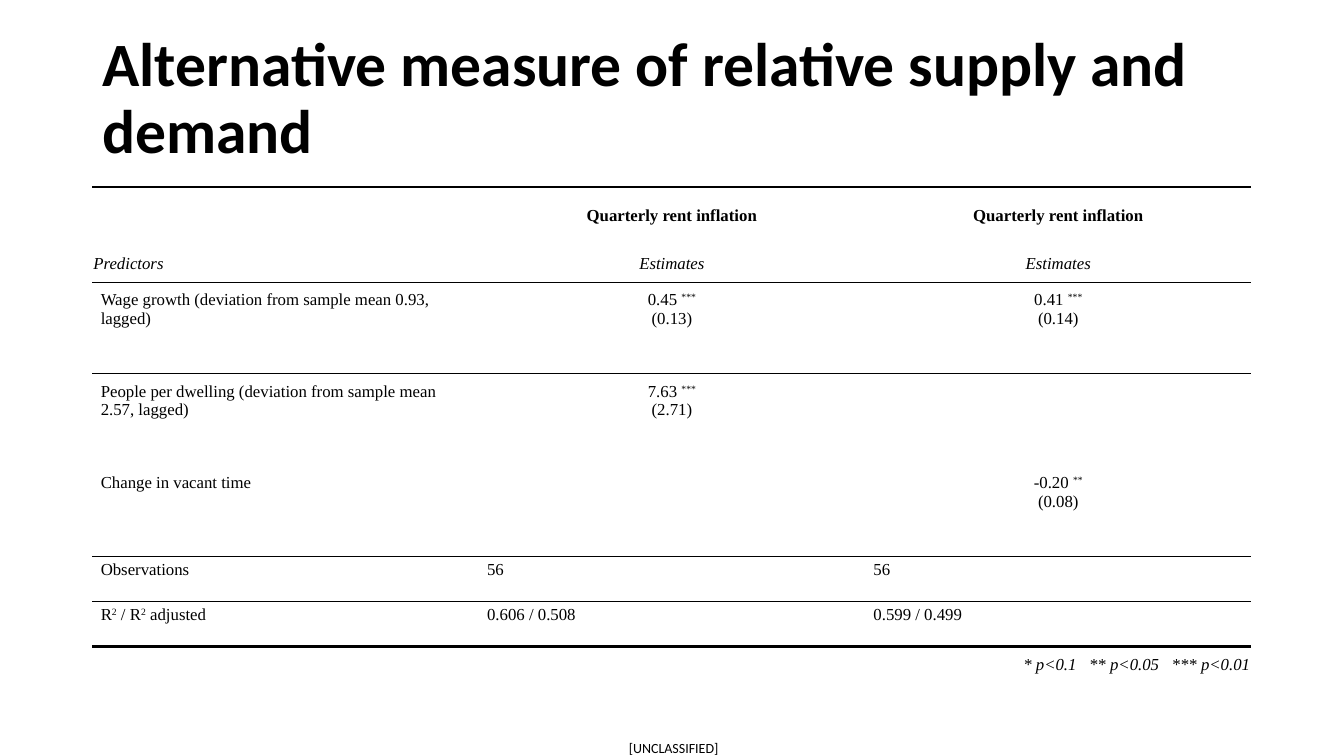
"""Builds the regression table slide on rent inflation."""
from dataclasses import dataclass

from lxml import etree
from pptx import Presentation, util as u
from pptx.dml.color import RGBColor
from pptx.enum import text as t
from pptx.oxml.ns import qn

PX = 9525
COLOURS = {"ink": "000000"}
INK = RGBColor.from_string(COLOURS["ink"])
SERIF, SANS = "Times New Roman", "Calibri"
LEFT, CENTRE, RIGHT = t.PP_ALIGN.LEFT, t.PP_ALIGN.CENTER, t.PP_ALIGN.RIGHT
TOP, MIDDLE = t.MSO_ANCHOR.TOP, t.MSO_ANCHOR.MIDDLE
NO_STYLE = "{2D5ABB26-0587-4C30-8999-92F81FD0307C}"


@dataclass(frozen=True)
class RowStyle:
    height: int
    inset_x: int
    inset_y: int
    label_align: t.PP_ALIGN = LEFT
    value_align: t.PP_ALIGN = CENTRE
    anchor: t.MSO_ANCHOR = TOP
    bold: bool = False
    italic: bool = False


@dataclass(frozen=True)
class Row:
    style: RowStyle
    texts: tuple[str, ...]
    top_rule: float = 0


OUTCOME = RowStyle(56, 8, 8, anchor=MIDDLE, bold=True)
HEADING = RowStyle(35, 1, 1, anchor=MIDDLE, italic=True)
PREDICTOR = RowStyle(87, 8, 8)
STATISTIC = RowStyle(43, 8, 4, value_align=LEFT)
LEGEND = RowStyle(35, 1, 1, label_align=RIGHT, anchor=MIDDLE, italic=True)

ROWS = [
    Row(OUTCOME, ("", "Quarterly rent inflation", "Quarterly rent inflation"), 2.25),
    Row(HEADING, ("Predictors", "Estimates", "Estimates")),
    Row(PREDICTOR, ("Wage growth (deviation from sample mean 0.93, lagged)",
                    "0.45 ^***^\n(0.13)", "0.41 ^***^\n(0.14)"), 1),
    Row(PREDICTOR, ("People per dwelling (deviation from sample mean 2.57, lagged)",
                    "7.63 ^***^\n(2.71)", "")),
    Row(PREDICTOR, ("Change in vacant time", "", "-0.20 ^**^\n(0.08)")),
    Row(STATISTIC, ("Observations", "56", "56"), 1),
    Row(STATISTIC, ("R^2^ / R^2^ adjusted", "0.606 / 0.508", "0.599 / 0.499")),
    Row(LEGEND, ("* p<0.1   ** p<0.05   *** p<0.01",), 2.25),
]


def set_font(paragraph, name: str, size: float, bold: bool = False, italic: bool = False) -> None:
    """Format a whole paragraph."""
    font = paragraph.font
    font.name, font.size, font.bold, font.italic = name, u.Pt(size), bold, italic
    font.color.rgb = INK


def write_marked(paragraph, marked: str) -> None:
    """Write text in which carets enclose superscripts."""
    for line_no, line in enumerate(marked.split("\n")):
        if line_no:
            paragraph.add_line_break()
        for part_no, part in enumerate(line.split("^")):
            if not part:
                continue
            run = paragraph.add_run()
            run.text = part
            if part_no % 2:
                run.font._element.set("baseline", "30000")


def rule_above(cell, points: float) -> None:
    """Draw a solid rule along the top of a cell."""
    rule = etree.SubElement(cell._tc.get_or_add_tcPr(), qn("a:lnT"), w=str(u.Pt(points)))
    ink = etree.SubElement(rule, qn("a:solidFill"))
    etree.SubElement(ink, qn("a:srgbClr"), val=COLOURS["ink"])


def fill_cell(cell, style: RowStyle, marked: str, align: t.PP_ALIGN) -> None:
    """Fill a cell according to its row style."""
    cell.fill.background()
    cell.vertical_anchor = style.anchor
    cell.margin_left = cell.margin_right = style.inset_x * PX
    cell.margin_top = cell.margin_bottom = style.inset_y * PX
    paragraph = cell.text_frame.paragraphs[0]
    paragraph.alignment = align
    set_font(paragraph, SERIF, 12, style.bold, style.italic)
    write_marked(paragraph, marked)


def add_title(slide, wording: str) -> None:
    """Place and format the title."""
    title = slide.shapes.title
    title.left, title.top, title.width, title.height = (n * PX for n in (88, 26, 1104, 139))
    frame = title.text_frame
    frame.text = wording
    frame.auto_size = t.MSO_AUTO_SIZE.NONE
    frame.vertical_anchor = MIDDLE
    paragraph = frame.paragraphs[0]
    paragraph.alignment, paragraph.line_spacing = LEFT, 0.9
    set_font(paragraph, SANS, 44, bold=True)


def add_regression(slide) -> None:
    """Add the regression table."""
    height = sum(row.style.height for row in ROWS)
    table = slide.shapes.add_table(
        len(ROWS), 3, 88 * PX, 178 * PX, 1104 * PX, height * PX).table
    table.first_row = table.horz_banding = False
    table._tbl.tblPr.find(qn("a:tableStyleId")).text = NO_STYLE
    for row_no, row in enumerate(ROWS):
        style = row.style
        table.rows[row_no].height = style.height * PX
        for column_no in range(3):
            cell = table.cell(row_no, column_no)
            if row.top_rule:
                rule_above(cell, row.top_rule)
            if column_no < len(row.texts):
                align = style.value_align if column_no else style.label_align
                fill_cell(cell, style, row.texts[column_no], align)
        if len(row.texts) == 1:
            table.cell(row_no, 0).merge(table.cell(row_no, 2))


def add_marking(slide, wording: str) -> None:
    """Add the classification marking at the foot."""
    marking = slide.shapes.add_textbox(*(n * PX for n in (597, 704, 89, 16)))
    frame = marking.text_frame
    frame.margin_left = frame.margin_right = frame.margin_top = frame.margin_bottom = 0
    frame.text = wording
    frame.paragraphs[0].alignment = CENTRE
    set_font(frame.paragraphs[0], SANS, 10)


def main() -> None:
    """Build and save the slide."""
    deck = Presentation()
    deck.slide_width, deck.slide_height = 1280 * PX, 720 * PX
    slide = deck.slides.add_slide(deck.slide_layouts[5])
    add_marking(slide, "[UNCLASSIFIED]")
    add_title(slide, "Alternative measure of relative supply and demand")
    add_regression(slide)
    deck.save("out.pptx")


if __name__ == "__main__":
    main()
